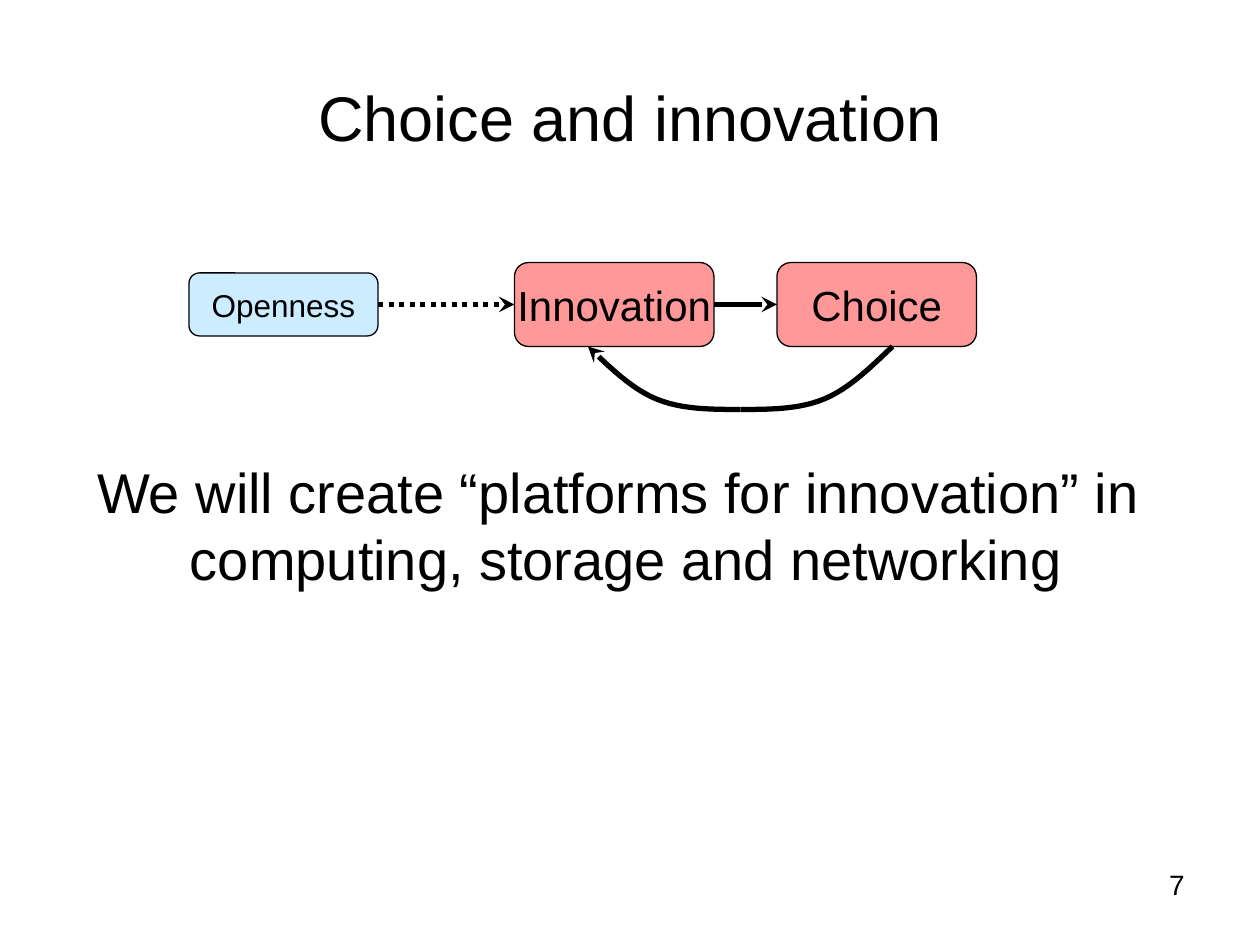
import pptx
import pptx.util
import pptx.dml.color
import pptx.enum.dml
import pptx.enum.shapes
import pptx.enum.text
import pptx.oxml.ns
import lxml.etree

RGBColor = pptx.dml.color.RGBColor
BLACK = RGBColor(0x00, 0x00, 0x00)
WHITE = RGBColor(0xFF, 0xFF, 0xFF)
PALE_BLUE = RGBColor(0xCC, 0xEC, 0xFF)
PINK = RGBColor(0xFF, 0x99, 0x99)

ALIGN = pptx.enum.text.PP_ALIGN
ANCHOR = pptx.enum.text.MSO_ANCHOR
LEFT_SIDE, RIGHT_SIDE = 1, 3


class SlideBuilder:
    """Holds the style and the slide; lengths are cells of a 120 x 90 grid."""

    FONT = "Arial"
    CELL = pptx.util.Inches(1) / 12
    THIN, THICK = pptx.util.Pt(0.75), pptx.util.Pt(3)

    def __init__(self, presentation):
        self.slide = presentation.slides.add_slide(presentation.slide_layouts[6])
        self.slide.background.fill.solid()
        self.slide.background.fill.fore_color.rgb = WHITE

    def cells(self, *counts):
        return [round(count * self.CELL) for count in counts]

    def set_text(self, shape, lines, size, alignment, anchor, wrap):
        frame = shape.text_frame
        frame.word_wrap = wrap
        frame.vertical_anchor = anchor
        paragraph = frame.paragraphs[0]
        paragraph.alignment = alignment
        for index, line in enumerate(lines):
            if index:
                paragraph.add_line_break()
            run = paragraph.add_run()
            run.text = line
            run.font.name = self.FONT
            run.font.size = pptx.util.Pt(size)
            run.font.color.rgb = BLACK

    def text(self, box, lines, size, alignment=ALIGN.CENTER, anchor=ANCHOR.TOP, wrap=True):
        shape = self.slide.shapes.add_textbox(*self.cells(*box))
        self.set_text(shape, lines, size, alignment, anchor, wrap)
        return shape

    def node(self, box, label, size, color):
        shape = self.slide.shapes.add_shape(
            pptx.enum.shapes.MSO_SHAPE.ROUNDED_RECTANGLE, *self.cells(*box))
        shape.shadow.inherit = False
        shape.fill.solid()
        shape.fill.fore_color.rgb = color
        shape.line.color.rgb = BLACK
        shape.line.width = self.THIN
        self.set_text(shape, [label], size, ALIGN.CENTER, ANCHOR.MIDDLE, False)
        return shape

    def stroke(self, line, arrow_end=None):
        line.color.rgb = BLACK
        line.width = self.THICK
        if arrow_end:
            properties = line._get_or_add_ln()
            lxml.etree.SubElement(
                properties, pptx.oxml.ns.qn(f"a:{arrow_end}"), type="stealth")

    def arrow(self, source, target, dash=None):
        connector = self.slide.shapes.add_connector(
            pptx.enum.shapes.MSO_CONNECTOR.STRAIGHT, 0, 0, 0, 0)
        connector.begin_connect(source, RIGHT_SIDE)
        connector.end_connect(target, LEFT_SIDE)
        if dash:
            connector.line.dash_style = dash
        self.stroke(connector.line, "tailEnd")
        lxml.etree.SubElement(
            connector._element.spPr, pptx.oxml.ns.qn("a:effectLst"))

    def curve(self, points, arrow_end=None, steps=12):
        """Draws chained cubic curves: a start point, then three points each."""
        track = [points[0]]
        for first in range(0, len(points) - 1, 3):
            controls = points[first:first + 4]
            for step in range(1, steps + 1):
                t = step / steps
                weights = ((1 - t) ** 3, 3 * t * (1 - t) ** 2, 3 * t * t * (1 - t), t ** 3)
                track.append(tuple(
                    sum(weight * value for weight, value in zip(weights, axis))
                    for axis in zip(*controls)))
        track = [self.cells(*point) for point in track]
        builder = self.slide.shapes.build_freeform(*track[0])
        builder.add_line_segments(track[1:], close=False)
        shape = builder.convert_to_shape()
        shape.shadow.inherit = False
        shape.fill.background()
        self.stroke(shape.line, arrow_end)


def main():
    presentation = pptx.Presentation()
    presentation.slide_width = pptx.util.Inches(10)
    presentation.slide_height = pptx.util.Inches(7.5)
    builder = SlideBuilder(presentation)

    # Title
    builder.text((0, 3.6, 120, 15), ["Choice and innovation"], 36, anchor=ANCHOR.MIDDLE)

    # Boxes and the arrows between them
    openness = builder.node((18, 26, 18, 6), "Openness", 18, PALE_BLUE)
    innovation = builder.node((49, 25, 19, 8), "Innovation", 24, PINK)
    choice = builder.node((74, 25, 19, 8), "Choice", 24, PINK)
    builder.arrow(openness, innovation, pptx.enum.dml.MSO_LINE.ROUND_DOT)
    builder.arrow(innovation, choice)

    # Feedback loop: two mirrored halves meeting at the lowest point
    left_half = [(56, 33), (58.1, 35), (60.1, 37), (62.5, 38),
                 (64.9, 39), (67.7, 39), (70.5, 39)]
    middle = left_half[-1][0]
    right_half = [(2 * middle - column, row) for column, row in left_half]
    builder.curve(right_half)
    builder.curve(left_half, "headEnd")

    # Statement
    statement = builder.text(
        (8, 43, 103.3, 14),
        ["We will create “platforms for innovation” in ",
         "computing, storage and networking"], 32, wrap=False)
    statement.text_frame.auto_size = pptx.enum.text.MSO_AUTO_SIZE.SHAPE_TO_FIT_TEXT

    # Slide number
    builder.text((86, 82, 28, 6.2), ["7"], 16, ALIGN.RIGHT)

    presentation.save("out.pptx")


if __name__ == "__main__":
    main()
